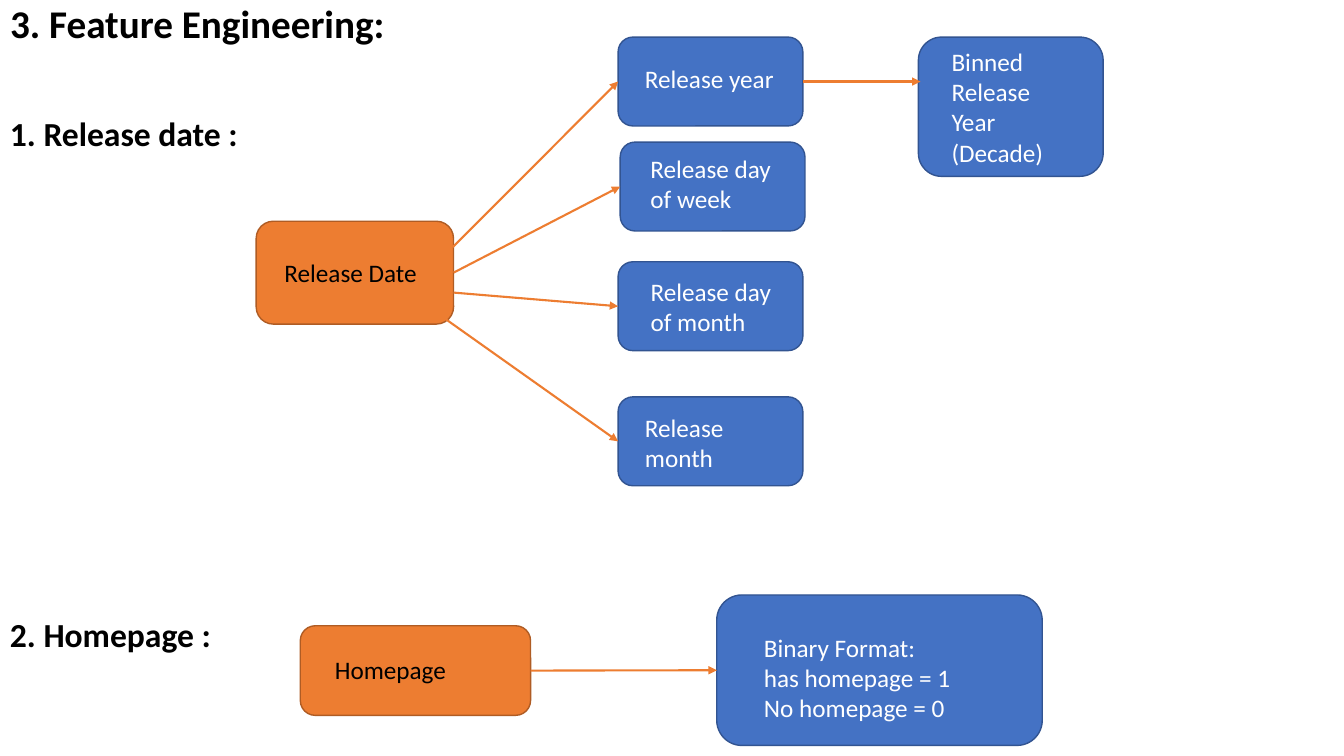
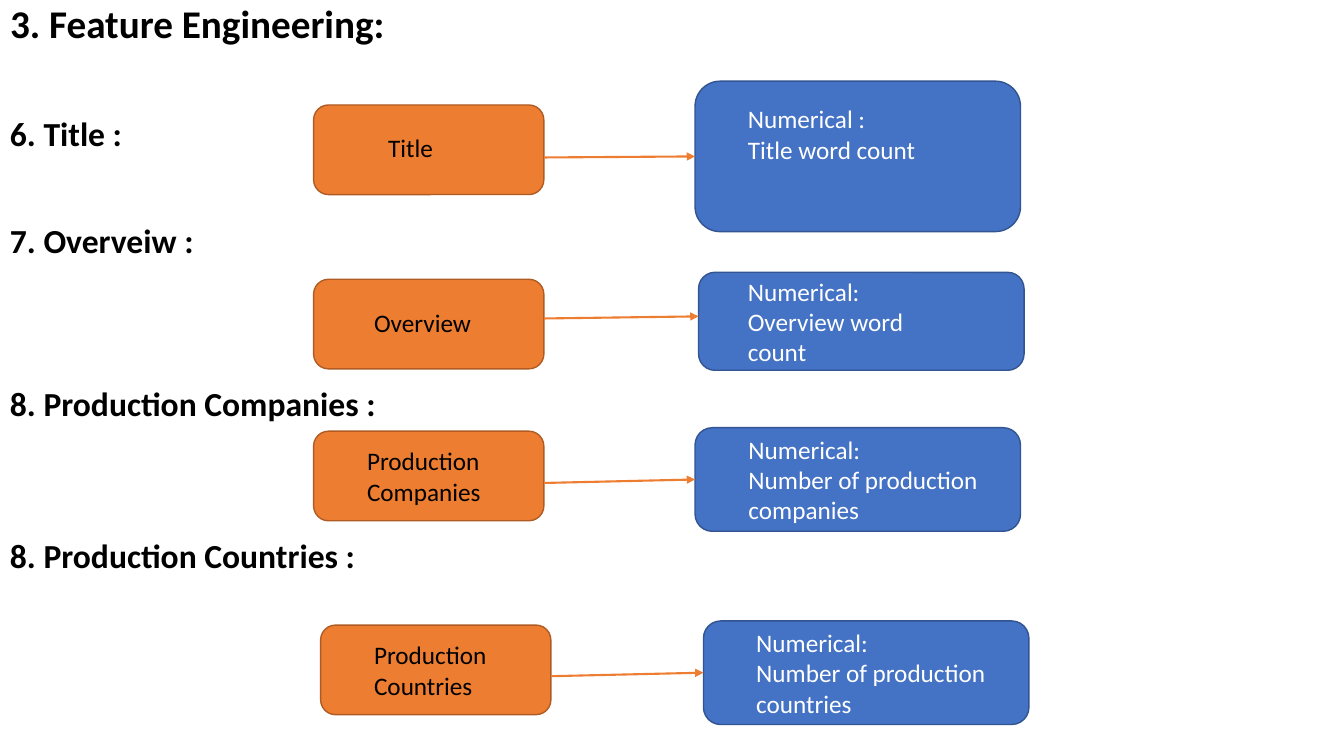
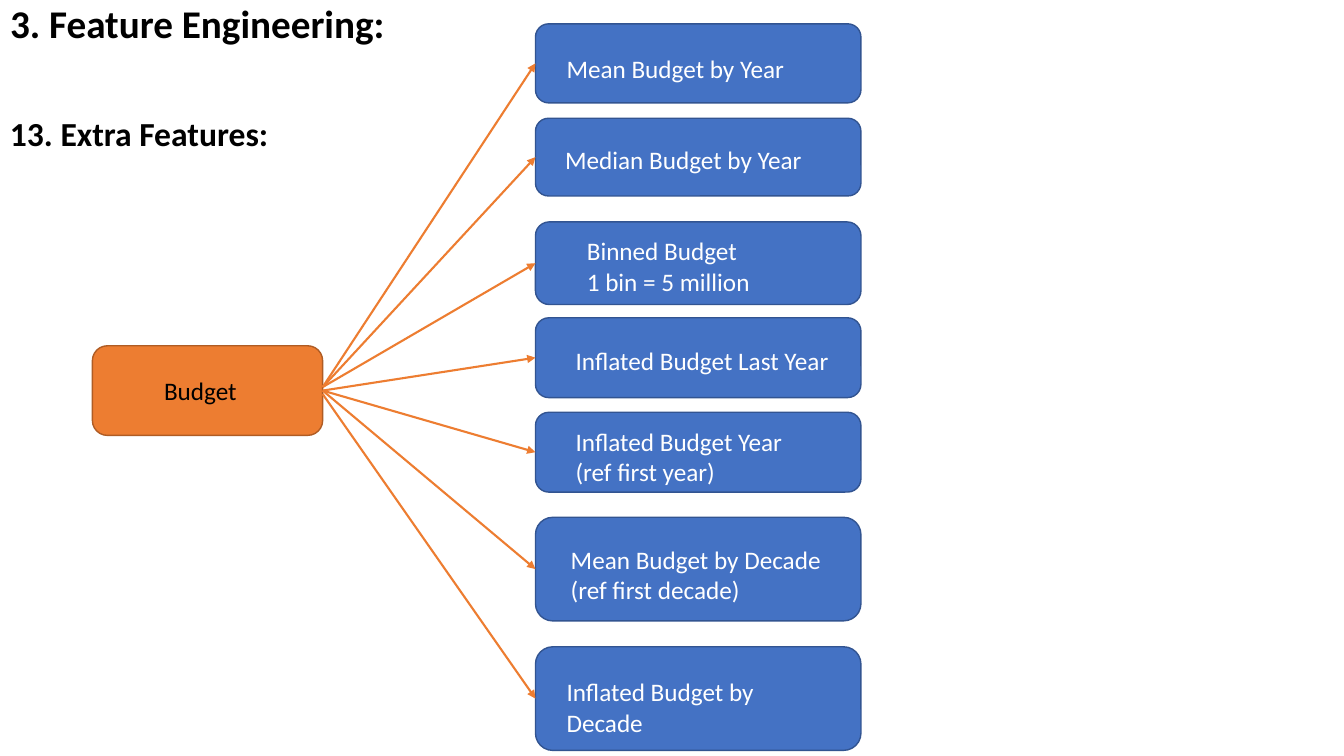
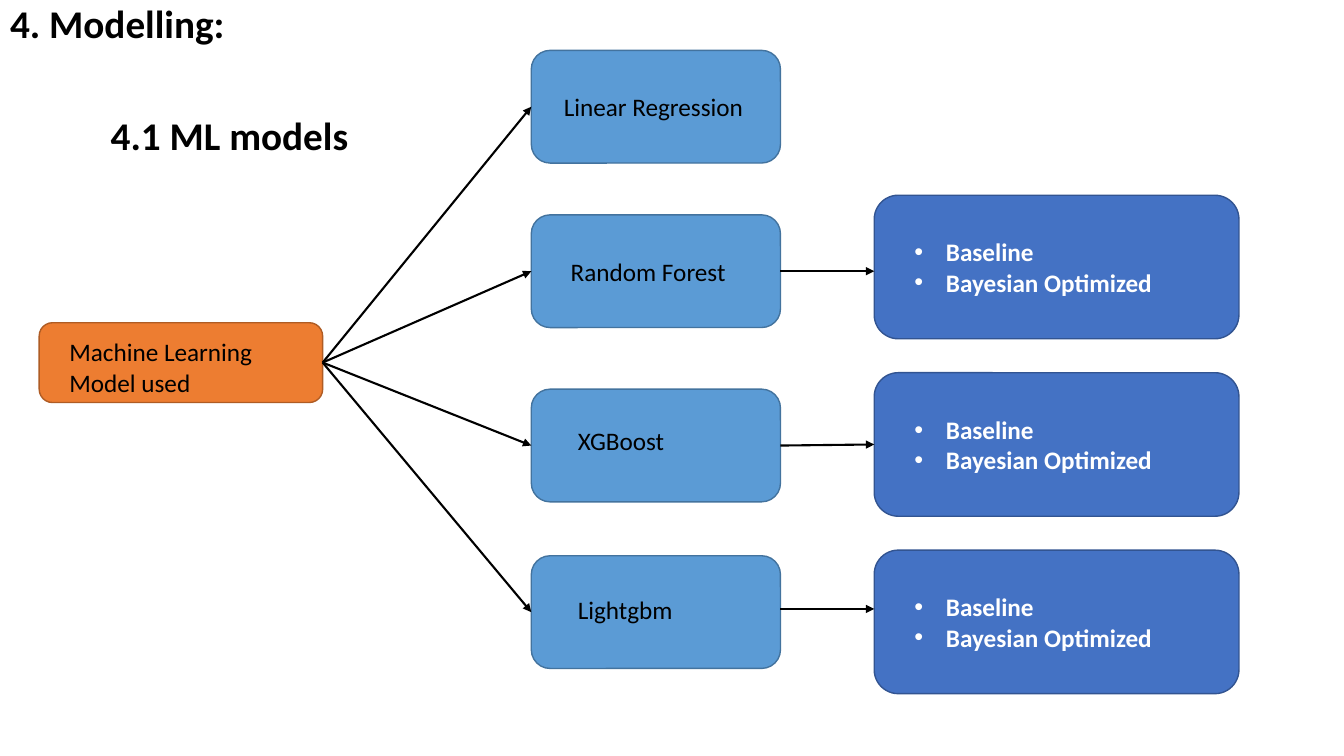
from dataclasses import dataclass

from lxml.etree import SubElement
from pptx import Presentation
from pptx.dml.color import RGBColor
from pptx.enum.shapes import MSO_CONNECTOR, MSO_SHAPE
from pptx.enum.text import MSO_ANCHOR, MSO_AUTO_SIZE, PP_ALIGN
from pptx.oxml.ns import qn
from pptx.util import Pt


@dataclass(frozen=True)
class Theme:
    font: str = "Calibri"
    title: int = 28
    heading: int = 24
    body: int = 18
    black: str = "000000"
    white: str = "FFFFFF"
    orange: str = "ED7D31"
    orange_edge: str = "AF5C24"
    blue: str = "4472C4"
    blue_edge: str = "325491"
    sky: str = "5B9BD5"
    sky_edge: str = "43739E"


@dataclass
class Box:
    kind: str
    text: str
    x: float
    y: float
    w: float
    h: float
    indent: float
    shift: float = 0
    wrap: float = 999


THEME = Theme()
STYLES = {
    "source": (THEME.orange, THEME.orange_edge, THEME.black),
    "derived": (THEME.blue, THEME.blue_edge, THEME.white),
    "options": (THEME.blue, THEME.blue_edge, THEME.white),
    "model": (THEME.sky, THEME.sky_edge, THEME.black),
}
INSET = 7.2
CORNER = 0.0488
FIRST_TOP = 80.5

FEATURES = "3. Feature Engineering:"
SMALL = (132, 63.5)
SOURCE = (164.5, 64)
WIDE = 232.5

BUDGET_ROWS = [
    ("Mean Budget by Year", 17, 56.5, 15, 3.5),
    ("Median Budget by Year", 84.5, 55.5, 14, 2),
    ("Binned Budget\n1 bin = 5 million", 158.5, 59, 29.5, 2),
    ("Inflated Budget Last Year", 227, 57, 21.5, 2),
    ("Inflated Budget Year\n(ref first year)", 294.5, 57, 21.5, 3),
    ("Mean Budget by Decade\n(ref first decade)", 369.5, 74, 18, 4),
    ("Inflated Budget by Decade", 462, 74, 15, 6, 182),
]
MODEL_ROWS = [
    ("Linear Regression", 36, 16, 0),
    ("Random Forest", 153.5, 21, 0),
    ("XGBoost", 278, 26, -3.5),
    ("Lightgbm", 397, 26, -2),
]
BUDGET_EXIT = (230.5, 276.5)

SLIDES = [
    {
        "title": FEATURES,
        "headings": [("1. Release date :", 0, FIRST_TOP, THEME.heading),
                     ("2. Homepage :", 0, 438.5, THEME.heading)],
        "arrow": THEME.orange,
        "boxes": [
            Box("source", "Release Date", 183, 158, 141, 73.5, 13),
            Box("derived", "Release year", 441.5, 26.5, *SMALL, 12, -2),
            Box("derived", "Release day of week", 443, 101.5, *SMALL, 14.4, -2, 95),
            Box("derived", "Release day of month", 441.5, 187, *SMALL, 16, 0, 95),
            Box("derived", "Release month", 441.5, 283.5, *SMALL, 12, 1, 90.7),
            Box("derived", "Binned Release Year (Decade)", 656, 26.5, 132, 99.5, 16.5, 0, 86.4),
            Box("source", "Homepage", 214.5, 447, *SOURCE, 17.5, -1),
            Box("derived", "Binary Format:\nhas homepage = 1\nNo homepage = 0",
                512, 425, WIDE, 107.5, 26.5, 5),
        ],
        "arrows": [
            (0, 1, (323.5, 176.5), None),
            (0, 2, None, None),
            (0, 3, (324, 209), None),
            (0, 4, (317, 227), None),
            (1, 5, None, (657.5, 58.25)),
            (6, 7, None, None),
        ],
    },
    {
        "title": FEATURES,
        "headings": [("6. Title :", 0, FIRST_TOP, THEME.heading),
                     ("7. Overveiw :", 0, 157, THEME.heading),
                     ("8. Production Companies :", 0, 273.5, THEME.heading),
                     ("8. Production Countries :", 0, 381.5, THEME.heading)],
        "arrow": THEME.orange,
        "boxes": [
            Box("source", "Title", 224, 75, *SOURCE, 46, -2),
            Box("source", "Overview", 224, 199.5, *SOURCE, 36, -1),
            Box("source", "Production\nCompanies", 224, 308, *SOURCE, 31),
            Box("source", "Production\nCountries", 229, 446.5, *SOURCE, 31),
            Box("derived", "Numerical :\nTitle word count", 496.5, 58, WIDE, 107.5, 30.5, -16),
            Box("derived", "Numerical:\nOverview word count", 499, 194.5, WIDE, 70, 28, 0, 139),
            Box("derived", "Numerical:\nNumber of production\ncompanies",
                496.5, 305.5, WIDE, 74, 31),
            Box("derived", "Numerical:\nNumber of production\ncountries",
                502.5, 443.5, WIDE, 74, 30.5),
        ],
        "arrows": [
            (0, 4, (388.5, 112.5), None),
            (1, 5, (388.5, 227.5), (499, 226)),
            (2, 6, (388.5, 345), None),
            (3, 7, (393.5, 483), None),
        ],
    },
    {
        "title": FEATURES,
        "headings": [("13. Extra Features:", 0, FIRST_TOP, THEME.heading)],
        "arrow": THEME.orange,
        "boxes": [Box("source", "Budget", 66, 247, *SOURCE, 44)]
        + [Box("derived", text, 382.5, y, WIDE, h, *layout)
           for text, y, h, *layout in BUDGET_ROWS],
        "arrows": [(0, i, BUDGET_EXIT, None) for i in (1, 2, 3)]
        + [(0, i, None, None) for i in (4, 5, 6)]
        + [(0, 7, (230.5, 281.5), None)],
    },
    {
        "title": "4. Modelling:",
        "headings": [("4.1 ML models", 72, 80, THEME.title)],
        "arrow": THEME.black,
        "boxes": [Box("source", "Machine Learning Model used",
                      28, 230.5, 202.5, 57, 14.4, 3, 160)]
        + [Box("model", text, 379.5, y, 178, 80.5, indent, shift)
           for text, y, indent, shift in MODEL_ROWS]
        + [Box("options", "Baseline\nBayesian Optimized",
               624.5, 139.5 + 126.75 * i, 260.5, 102.5, 21.5) for i in range(3)],
        "arrows": [(0, i, None, None) for i in (1, 2, 3, 4)]
        + [(2, 5, None, (624.5, 193.75)),
           (3, 6, None, None),
           (4, 7, (557.5, 435), (624.5, 435))],
    },
]


def rgb(value):
    return RGBColor.from_string(value)


def style_text(tf, size, color, bold):
    for p in tf.paragraphs:
        p.alignment = PP_ALIGN.LEFT
        for r in p.runs:
            r.font.name = THEME.font
            r.font.size = Pt(size)
            r.font.bold = bold
            r.font.color.rgb = rgb(color)


def fill_heading(sp, text, size):
    tf = sp.text_frame
    tf.text = text
    tf.word_wrap = True
    tf.auto_size = MSO_AUTO_SIZE.NONE
    tf.vertical_anchor = MSO_ANCHOR.TOP
    tf.paragraphs[0].line_spacing = 0.9
    style_text(tf, size, THEME.black, True)


def add_title(s, text):
    sp = s.shapes.title
    sp.left, sp.top, sp.width, sp.height = Pt(0), Pt(0), Pt(400), Pt(40)
    fill_heading(sp, text, THEME.title)


def add_heading(s, text, x, y, size):
    sp = s.shapes.add_textbox(Pt(x), Pt(y), Pt(400), Pt(36))
    fill_heading(sp, text, size)


def add_bullet(p):
    pPr = p._p.get_or_add_pPr()
    pPr.set("marL", str(Pt(22.5)))
    pPr.set("indent", str(-Pt(22.5)))
    SubElement(pPr, qn("a:buFont")).set("typeface", "Arial")
    SubElement(pPr, qn("a:buChar")).set("char", "•")


def add_box(s, box):
    fill, edge, color = STYLES[box.kind]
    sp = s.shapes.add_shape(MSO_SHAPE.ROUNDED_RECTANGLE,
                            Pt(box.x), Pt(box.y), Pt(box.w), Pt(box.h))
    sp.shadow.inherit = False
    sp.fill.solid()
    sp.fill.fore_color.rgb = rgb(fill)
    sp.line.color.rgb = rgb(edge)
    sp.line.width = Pt(1)
    corner = CORNER * min(box.w, box.h)
    start = box.indent + INSET
    tf = sp.text_frame
    tf.text = box.text
    tf.word_wrap = True
    tf.vertical_anchor = MSO_ANCHOR.MIDDLE
    tf.margin_left = Pt(start - corner)
    tf.margin_right = Pt(max(0, box.w - start - box.wrap - corner))
    tf.margin_top = Pt(max(0, 2 * box.shift))
    tf.margin_bottom = Pt(max(0, -2 * box.shift))
    if box.kind == "options":
        for p in tf.paragraphs:
            add_bullet(p)
    style_text(tf, THEME.body, color, box.kind == "options")
    return sp


def add_arrow(s, color, source, target, begin, end):
    x1, y1 = map(Pt, begin or (0, 0))
    x2, y2 = map(Pt, end or (0, 0))
    if not begin:
        x1, y1 = source.left + source.width, source.top + source.height // 2
    if not end:
        x2, y2 = target.left, target.top + target.height // 2
    line = s.shapes.add_connector(MSO_CONNECTOR.STRAIGHT, x1, y1, x2, y2)
    if not begin:
        line.begin_connect(source, 3)
    if not end:
        line.end_connect(target, 1)
    line.line.color.rgb = rgb(color)
    line.line.width = Pt(1.5)
    SubElement(line.line._get_or_add_ln(), qn("a:tailEnd")).set("type", "triangle")
    SubElement(line._element.spPr, qn("a:effectLst"))


def main():
    prs = Presentation()
    prs.slide_width, prs.slide_height = Pt(960), Pt(540)
    for content in SLIDES:
        s = prs.slides.add_slide(prs.slide_layouts[5])
        add_title(s, content["title"])
        for heading in content["headings"]:
            add_heading(s, *heading)
        shapes = [add_box(s, box) for box in content["boxes"]]
        for source, target, begin, end in content["arrows"]:
            add_arrow(s, content["arrow"], shapes[source], shapes[target], begin, end)
    prs.save("out.pptx")


if __name__ == "__main__":
    main()
